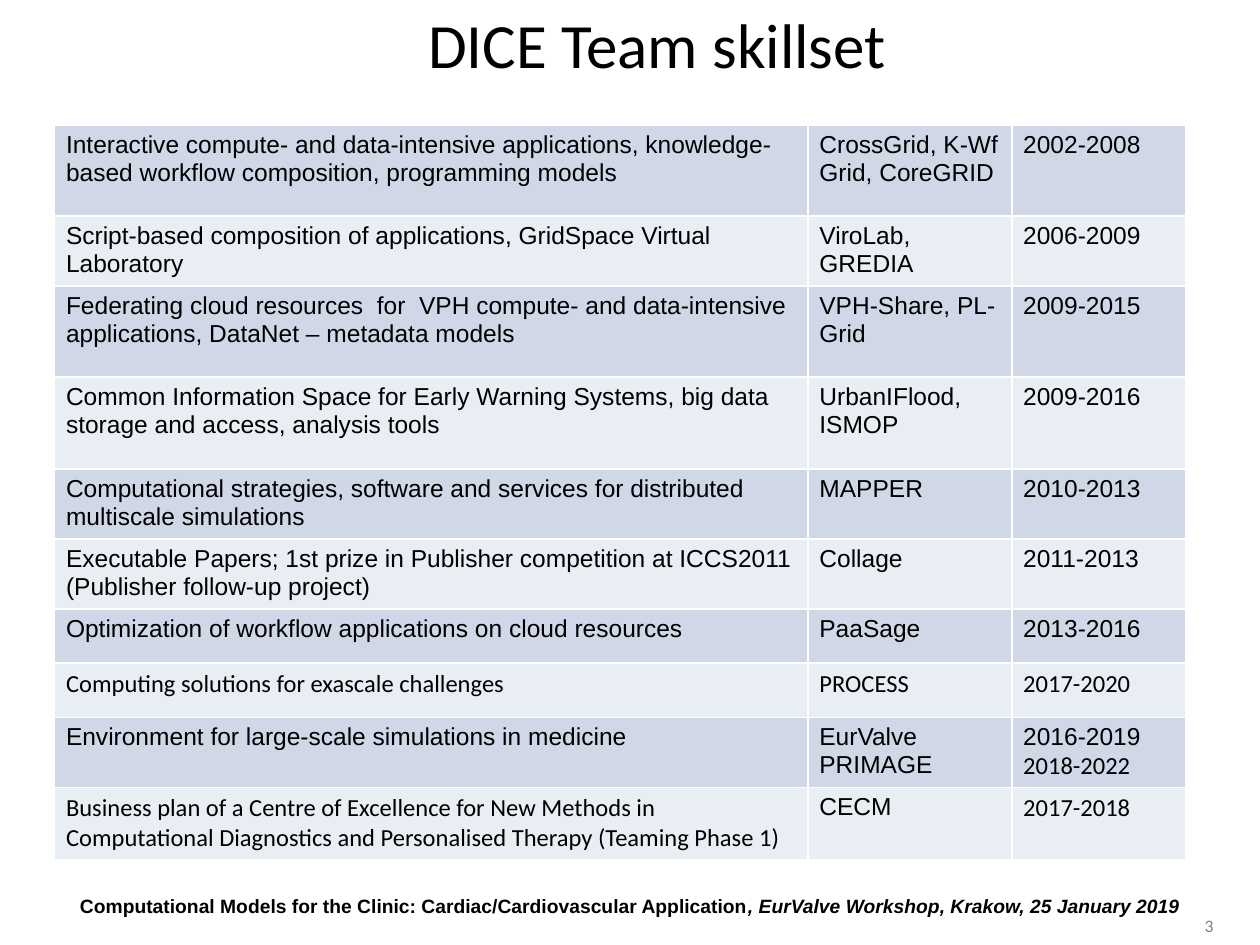
"""Build the DICE Team skillset slide."""
from dataclasses import dataclass

from lxml import etree
from pptx import Presentation
from pptx.dml.color import RGBColor
from pptx.enum.text import MSO_ANCHOR, PP_ALIGN
from pptx.oxml.ns import qn
from pptx.util import Pt

LEFT, MID, RIGHT = PP_ALIGN.LEFT, PP_ALIGN.CENTER, PP_ALIGN.RIGHT
TOP, MIDDLE = MSO_ANCHOR.TOP, MSO_ANCHOR.MIDDLE
BLACK = RGBColor(0x00, 0x00, 0x00)
GREY = RGBColor(0x80, 0x80, 0x80)
BANDS = (RGBColor(0xD0, 0xD8, 0xE8), RGBColor(0xE9, 0xED, 0xF4))
ARIAL, CALIBRI = "Arial", "Calibri"
SIDES = ("a:lnL", "a:lnR", "a:lnT", "a:lnB")
WIDTHS = (430.5, 116.5, 99.5)


@dataclass(frozen=True)
class Run:
    text: str
    face: str = ARIAL
    size: float = 14
    tint: RGBColor = BLACK
    bold: bool = False
    slant: bool = False


@dataclass(frozen=True)
class Label:
    left: float
    top: float
    width: float
    height: float
    align: int
    anchor: int
    runs: tuple


@dataclass(frozen=True)
class Row:
    height: float
    skill: str
    names: tuple
    years: tuple
    faces: tuple = (ARIAL, ARIAL, ARIAL)

    def cells(self) -> list:
        groups = ((self.skill,), self.names, self.years)
        return [[Run(text, face) for text in group]
                for group, face in zip(groups, self.faces)]


LABELS = (
    Label(116, 0, 519, 49, MID, MIDDLE,
          (Run("DICE Team skillset", CALIBRI, 36),)),
    Label(36, 507.5, 648, 21, MID, TOP,
          (Run("Computational Models for the Clinic: Cardiac/Cardiovascular Application",
               size=11, bold=True),
           Run(", EurValve Workshop, Krakow, 25 January 2019",
               size=11, bold=True, slant=True))),
    Label(604, 520.5, 96.5, 16.5, RIGHT, MIDDLE,
          (Run("3", CALIBRI, 10, GREY),)),
)

ROWS = (
    Row(52, "Interactive compute- and data-intensive applications, "
        "knowledge-based workflow composition, programming models",
        ("CrossGrid, K-Wf Grid, CoreGRID",), ("2002-2008",)),
    Row(40, "Script-based composition of applications, GridSpace Virtual Laboratory",
        ("ViroLab, GREDIA",), ("2006-2009",)),
    Row(52, "Federating cloud resources  for  VPH compute- and data-intensive "
        "applications, DataNet – metadata models",
        ("VPH-Share, PL-Grid",), ("2009-2015",)),
    Row(52.5, "Common Information Space for Early Warning Systems, big data "
        "storage and access, analysis tools",
        ("UrbanIFlood, ISMOP",), ("2009-2016",)),
    Row(40, "Computational strategies, software and services for distributed "
        "multiscale simulations", ("MAPPER",), ("2010-2013",)),
    Row(40, "Executable Papers; 1st prize in Publisher competition at ICCS2011 "
        "(Publisher follow-up project)", ("Collage",), ("2011-2013",)),
    Row(31, "Optimization of workflow applications on cloud resources",
        ("PaaSage",), ("2013-2016",)),
    Row(31, "Computing solutions for exascale challenges",
        ("PROCESS",), ("2017-2020",), (CALIBRI, CALIBRI, CALIBRI)),
    Row(40, "Environment for large-scale simulations in medicine",
        ("EurValve", "PRIMAGE"), ("2016-2019", "2018-2022")),
    Row(40, "Business plan of a Centre of Excellence for New Methods in "
        "Computational Diagnostics and Personalised Therapy (Teaming Phase 1)",
        ("CECM",), ("2017-2018",), (CALIBRI, ARIAL, CALIBRI)),
)


def write(para, run: Run) -> None:
    part = para.add_run()
    part.text = run.text
    form = {"name": run.face, "size": Pt(run.size),
            "bold": run.bold, "italic": run.slant}
    for key, value in form.items():
        setattr(part.font, key, value)
    part.font.color.rgb = run.tint


def draw_label(slide, label: Label) -> None:
    box = slide.shapes.add_textbox(Pt(label.left), Pt(label.top),
                                   Pt(label.width), Pt(label.height))
    frame = box.text_frame
    form = {"word_wrap": True, "vertical_anchor": label.anchor}
    for key, value in form.items():
        setattr(frame, key, value)
    para = frame.paragraphs[0]
    para.alignment = label.align
    for run in label.runs:
        write(para, run)


def edge(cell) -> None:
    props = cell._tc.get_or_add_tcPr()
    for spot, side in enumerate(SIDES):
        line = etree.Element(qn(side), w=str(Pt(1)))
        fill = etree.SubElement(line, qn("a:solidFill"))
        etree.SubElement(fill, qn("a:srgbClr"), val="FFFFFF")
        props.insert(spot, line)


def fill_cell(cell, runs: list, band: RGBColor) -> None:
    form = {"margin_left": Pt(6.5), "margin_right": Pt(6.5),
            "margin_top": Pt(3.6), "margin_bottom": Pt(3.6),
            "vertical_anchor": TOP}
    for key, value in form.items():
        setattr(cell, key, value)
    cell.fill.solid()
    cell.fill.fore_color.rgb = band
    edge(cell)
    frame = cell.text_frame
    for spot, run in enumerate(runs):
        para = frame.add_paragraph() if spot else frame.paragraphs[0]
        para.alignment = LEFT
        write(para, run)


def draw_table(slide, rows: tuple) -> None:
    height = sum(row.height for row in rows)
    table = slide.shapes.add_table(len(rows), len(WIDTHS), Pt(31.25), Pt(71.5),
                                   Pt(sum(WIDTHS)), Pt(height)).table
    table.first_row = False
    for col, width in zip(table.columns, WIDTHS):
        col.width = Pt(width)
    for spot, row in enumerate(rows):
        table.rows[spot].height = Pt(row.height)
        for cell, runs in zip(table.rows[spot].cells, row.cells()):
            fill_cell(cell, runs, BANDS[spot % 2])


def main() -> None:
    deck = Presentation()
    deck.slide_width, deck.slide_height = Pt(720), Pt(540)
    slide = deck.slides.add_slide(deck.slide_layouts[6])
    draw_table(slide, ROWS[:8] + (ROWS[8],) + ROWS[9:])
    years = slide.shapes[0].table.cell(8, 2).text_frame.paragraphs[1]
    years.runs[0].font.name = CALIBRI
    for label in LABELS:
        draw_label(slide, label)
    deck.save("out.pptx")


if __name__ == "__main__":
    main()
